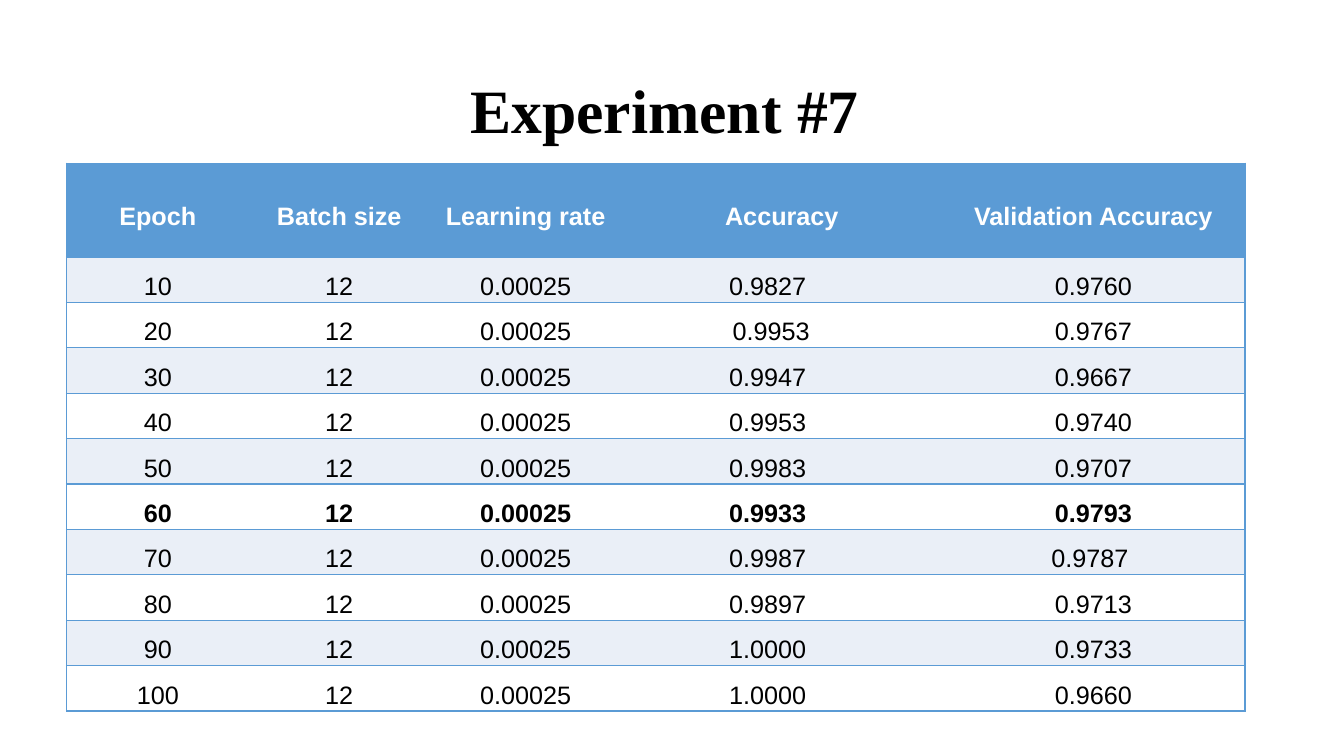
"""Build the Experiment #7 slide: a title above a table of training results."""
from lxml.etree import SubElement
from pptx import Presentation
from pptx.dml.color import RGBColor
from pptx.enum.text import MSO_ANCHOR as ANCHOR, PP_ALIGN as ALIGN
from pptx.oxml.ns import qn
from pptx.util import Inches, Pt

COLORS = {"blue": "5B9BD5", "band": "EAEFF7", "white": "FFFFFF", "black": "000000"}
HEADERS = ["Epoch", "Batch size", "Learning rate", "Accuracy", "Validation Accuracy"]
RESULTS = [
    ("0.9827", "0.9760"), ("0.9953", "0.9767"), ("0.9947", "0.9667"),
    ("0.9953", "0.9740"), ("0.9983", "0.9707"), ("0.9933", "0.9793"),
    ("0.9987", "0.9787"), ("0.9897", "0.9713"), ("1.0000", "0.9733"),
    ("1.0000", "0.9660"),
]
COL_WIDTHS = [1.81, 1.79, 1.91, 3.17, 3.01]
HEADER_HEIGHT, ROW_HEIGHT = 0.93, 0.44
BEST_ROW = 6
MARGIN = 0.07
RIGHT_MARGINS = {(row, 3): 0.35 for row in range(1, 11)} | {(2, 3): 0.28, (7, 4): 0.14}


def write(p, text, color, paragraph_format, font_format):
    for name, value in paragraph_format.items():
        setattr(p, name, value)
    r = p.add_run()
    r.text = text
    for name, value in font_format.items():
        setattr(r.font, name, value)
    r.font.color.rgb = RGBColor.from_string(COLORS[color])


def add_border(cell, side, visible):
    ln = SubElement(cell._tc.get_or_add_tcPr(), qn(f"a:ln{side}"), w=str(Pt(1)))
    if visible:
        fill = SubElement(ln, qn("a:solidFill"))
        SubElement(fill, qn("a:srgbClr"), val=COLORS["blue"])
    else:
        SubElement(ln, qn("a:noFill"))


prs = Presentation()
prs.slide_width, prs.slide_height = Inches(13.33), Inches(7.5)
s = prs.slides.add_slide(prs.slide_layouts[6])

title = s.shapes.add_textbox(Inches(0.92), Inches(0.4), Inches(11.5), Inches(1.45))
tf = title.text_frame
tf.word_wrap = True
tf.vertical_anchor = ANCHOR.MIDDLE
tf.margin_right = Inches(0.25)
write(tf.paragraphs[0], "Experiment #7", "black",
      {"alignment": ALIGN.CENTER, "line_spacing": 0.9},
      {"name": "Times New Roman", "size": Pt(44), "bold": True})

rows = [HEADERS] + [(str(10 * i), "12", "0.00025", *result)
                    for i, result in enumerate(RESULTS, 1)]
table = s.shapes.add_table(len(rows), len(HEADERS), Inches(0.66), Inches(1.62),
                           Inches(sum(COL_WIDTHS)),
                           Inches(HEADER_HEIGHT + ROW_HEIGHT * len(RESULTS))).table
for column, width in zip(table.columns, COL_WIDTHS):
    column.width = Inches(width)

for i, values in enumerate(rows):
    table.rows[i].height = Inches(ROW_HEIGHT if i else HEADER_HEIGHT)
    row_fill = "blue" if i == 0 else "band" if i % 2 else "white"
    for j, value in enumerate(values):
        cell = table.cell(i, j)
        cell_format = {"vertical_anchor": ANCHOR.MIDDLE, "margin_left": Inches(MARGIN),
                       "margin_right": Inches(RIGHT_MARGINS.get((i, j), MARGIN)),
                       "margin_top": 0, "margin_bottom": 0}
        for name, setting in cell_format.items():
            setattr(cell, name, setting)
        borders = {"L": j == 0, "R": j == len(HEADERS) - 1, "T": True, "B": True}
        for side, visible in borders.items():
            add_border(cell, side, visible)
        cell.fill.solid()
        cell.fill.fore_color.rgb = RGBColor.from_string(COLORS[row_fill])
        write(cell.text_frame.paragraphs[0], value, "black" if i else "white",
              {"alignment": ALIGN.CENTER, "line_spacing": 1.5, "space_after": Pt(5.3)},
              {"name": "Arial", "size": Pt(18), "bold": i in (0, BEST_ROW)})

prs.save("out.pptx")
